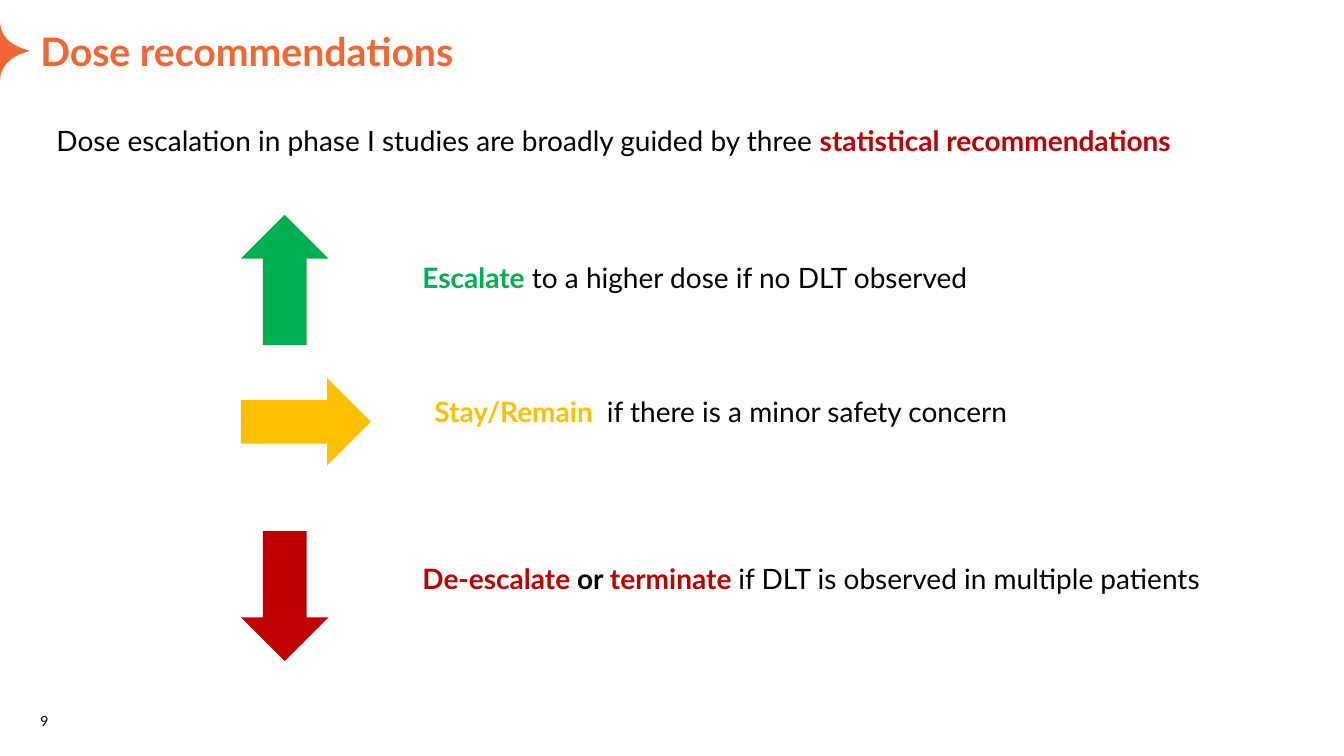
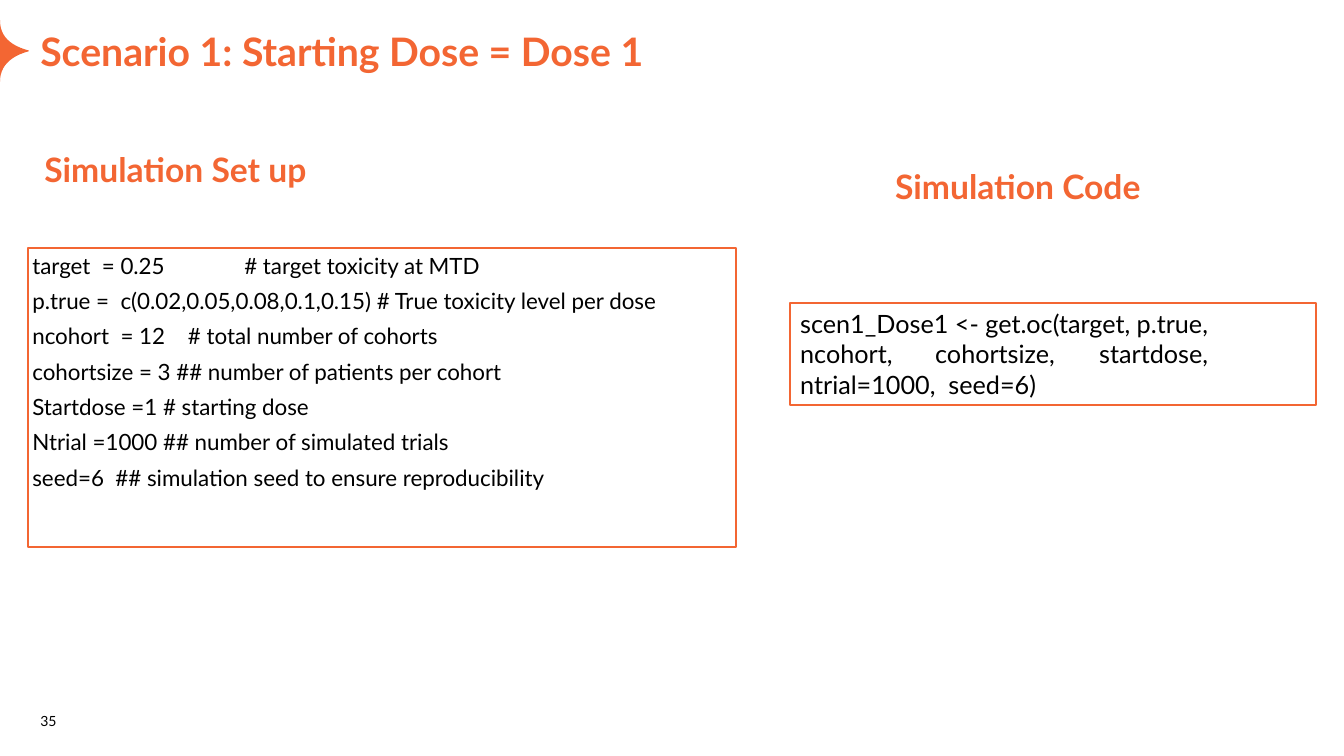
from lxml import etree
from pptx import Presentation
from pptx.dml.color import RGBColor
from pptx.enum.shapes import MSO_SHAPE
from pptx.enum.text import MSO_ANCHOR, MSO_AUTO_SIZE, PP_ALIGN
from pptx.oxml.ns import qn
from pptx.util import Pt

TOP, BOTTOM = MSO_ANCHOR.TOP, MSO_ANCHOR.BOTTOM
LEFT, FIXED = PP_ALIGN.LEFT, MSO_AUTO_SIZE.NONE
RECT, UP = MSO_SHAPE.RECTANGLE, MSO_SHAPE.UP_ARROW
RIGHT, DOWN = MSO_SHAPE.RIGHT_ARROW, MSO_SHAPE.DOWN_ARROW
TITLE_ONLY = 5

COLORS = {
    "accent": "F36633", "text": "000000",
    "green": "00B050", "amber": "FFC000", "red": "C00000",
}
FONT = "Lato"
FLUSH, SLIM, WIDE = (0, 0), (2.9, 2.9), (7.2, 3.6)  # side and end margins
STAR = [  # cubic curves: start, two controls, end
    [(0, 14.4), (0, 25.9), (7.2, 32.4), (20.2, 36)],
    [(20.2, 36), (20.9, 36), (20.9, 36.7), (20.2, 36.7)],
    [(20.2, 36.7), (7.2, 40.3), (0, 47.5), (0, 58.3)],
]
STEPS = 12


def color(name):
    return RGBColor.from_string(COLORS[name])


def apply(target, values):
    for name, value in values.items():
        setattr(target, name, value)


def trace(curve):
    """Sample a cubic curve, leaving out its start."""
    for step in range(1, STEPS + 1):
        t = step / STEPS
        parts = ((1 - t) ** 3, 3 * t * (1 - t) ** 2, 3 * t * t * (1 - t), t ** 3)
        yield tuple(Pt(sum(k * p[axis] for k, p in zip(parts, curve)))
                    for axis in (0, 1))


class Deck:
    def __init__(self):
        self.prs = Presentation()
        apply(self.prs, {"slide_width": Pt(960), "slide_height": Pt(540)})
        self.slide = None

    def add(self, title, number):
        """Start a slide with its star, number and title."""
        layout = self.prs.slide_layouts[TITLE_ONLY]
        self.slide = self.prs.slides.add_slide(layout)
        self.star()
        self.label((28.8, 499.7, 42.5, 21.6), [[(number,)]], 10, FLUSH, BOTTOM)
        head = self.slide.shapes.title
        self.place(head, (28.8, 19.4, 902.2, 33.8))
        self.text(head, [[(title, "accent", True)]], 28, FLUSH, BOTTOM)

    def place(self, shape, box):
        names = ("left", "top", "width", "height")
        apply(shape, {name: Pt(v) for name, v in zip(names, box)})

    def star(self):
        pen = self.slide.shapes.build_freeform(*map(Pt, STAR[0][0]), scale=1.0)
        pen.add_line_segments([p for curve in STAR for p in trace(curve)])
        self.paint(pen.convert_to_shape(), "accent")

    def paint(self, shape, fill=None, line=None):
        shape.shadow.inherit = False
        if fill:
            shape.fill.solid()
            shape.fill.fore_color.rgb = color(fill)
        else:
            shape.fill.background()
        if line:
            shape.line.color.rgb = color(line)
            shape.line.width = Pt(1.5)
        else:
            shape.line.fill.background()

    def shape(self, kind, box, fill=None, line=None):
        item = self.slide.shapes.add_shape(kind, *map(Pt, box))
        self.paint(item, fill, line)
        return item

    def label(self, box, paras, size=20, pad=SLIM, anchor=TOP, lead=None):
        item = self.slide.shapes.add_textbox(*map(Pt, box))
        self.text(item, paras, size, pad, anchor, lead)

    def panel(self, box, paras, size, pad, tabs):
        item = self.shape(RECT, box, line="accent")
        self.text(item, paras, size, pad, tabs=tabs)

    def text(self, item, paras, size, pad, anchor=TOP, lead=None, tabs=()):
        """Fill with paragraphs of (text, colour, bold) runs."""
        frame = item.text_frame
        side, end = map(Pt, pad)
        apply(frame, {"word_wrap": True, "auto_size": FIXED,
                      "vertical_anchor": anchor,
                      "margin_left": side, "margin_right": side,
                      "margin_top": end, "margin_bottom": end})
        for i, runs in enumerate(paras):
            para = frame.add_paragraph() if i else frame.paragraphs[0]
            if tabs:
                self.tabs(para, tabs)
            last = i == len(paras) - 1
            apply(para, {"alignment": LEFT, "line_spacing": lead,
                         "space_before": Pt(3 if i else 0),
                         "space_after": Pt(0 if last else 3)})
            for run in runs:
                self.run(para, size, *run)

    def tabs(self, para, stops):
        group = etree.SubElement(para._p.get_or_add_pPr(), qn("a:tabLst"))
        for stop in stops:
            etree.SubElement(group, qn("a:tab"), pos=str(Pt(stop)), algn="l")

    def run(self, para, size, text, tone="text", bold=False):
        for i, line in enumerate(text.split("\n")):
            if i:
                para.add_line_break()
            run = para.add_run()
            run.text = line
            apply(run.font, {"name": FONT, "size": Pt(size), "bold": bold})
            run.font.color.rgb = color(tone)


def advice(deck):
    deck.add("Dose recommendations", "9")
    deck.label((37.4, 79.2, 820.1, 56.2), [[
        ("Dose escalation in phase I studies are broadly guided by three ",),
        ("statistical recommendations", "red", True)]], lead=1.25)
    short, long = 62.6, 92.9
    rows = [
        (UP, "green", (153.4, short, long), (298.8, 182.9),
         [("Escalate", "green", True),
          (" to a higher dose if no DLT observed",)]),
        (RIGHT, "amber", (270, long, short), (307.4, 278.6),
         [("Stay/Remain ", "amber", True),
          (" if there is a minor safety concern",)]),
        (DOWN, "red", (379.4, short, long), (298.8, 398.2),
         [("De-escalate", "red", True), (" or ", "text", True),
          ("terminate ", "red", True),
          ("if DLT is observed in multiple patients",)]),
    ]
    for kind, tone, box, spot, runs in rows:
        deck.shape(kind, (172.1, *box), tone)
        deck.label((*spot, 608, 40), [runs])


def setup(deck):
    deck.add("Scenario 1: Starting Dose = Dose 1", "35")
    heads = [("Simulation Set up", 28.8, 103.7), ("Simulation Code", 636.5, 115.9)]
    for text, left, top in heads:
        deck.label((left, top, 232.6, 39.6), [[(text, "accent", True)]], 24)
    lines = [
        "target  = 0.25\t# target toxicity at MTD",
        "p.true =  c(0.02,0.05,0.08,0.1,0.15) # True toxicity level per dose",
        "ncohort  = 12    # total number of cohorts",
        "cohortsize = 3 ## number of patients per cohort",
        "Startdose =1 # starting dose",
        "Ntrial =1000 ## number of simulated trials",
        "seed=6  ## simulation seed to ensure reproducibility",
    ]
    deck.panel((20.2, 177.1, 505.4, 213.8), [[(s,)] for s in lines],
               16, SLIM, [151.4])
    code = ("scen1_Dose1 <- get.oc(target, p.true,\n"
            "ncohort,\tcohortsize,\tstartdose,\n"
            "ntrial=1000,  seed=6)")
    deck.panel((564.5, 216.7, 375.8, 72.7), [[(code,)]], 18, WIDE, [96.4, 213.6])


def main():
    deck = Deck()
    advice(deck)
    setup(deck)
    deck.prs.save("out.pptx")


if __name__ == "__main__":
    main()
